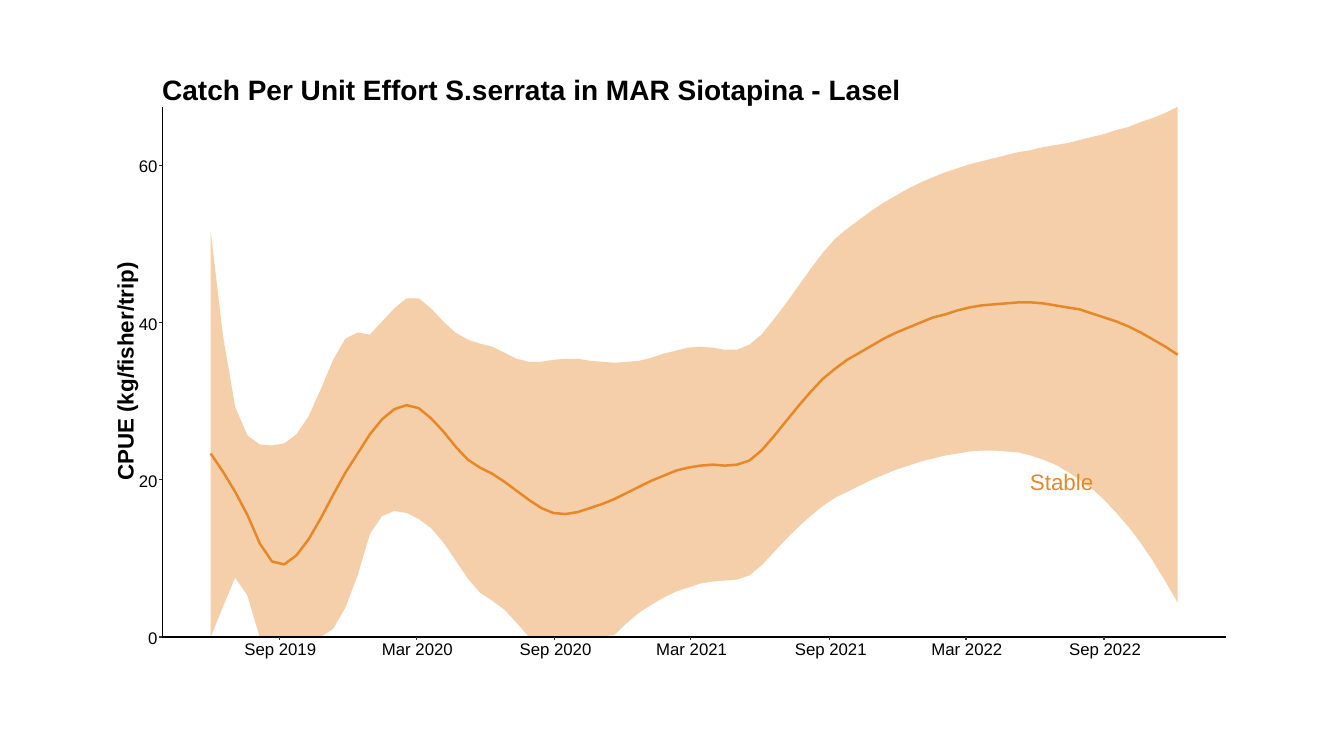
import pptx
import pptx.util
import pptx.dml.color
import pptx.enum.text
import pptx.oxml
import pptx.oxml.ns
from lxml import etree

Inches = pptx.util.Inches
Pt = pptx.util.Pt
RGBColor = pptx.dml.color.RGBColor
ALIGN = pptx.enum.text.PP_ALIGN

ORANGE = RGBColor(0xE7, 0x88, 0x28)
BLACK = RGBColor(0, 0, 0)
TICK_GREY = RGBColor(0x33, 0x33, 0x33)

AXIS_LEFT, AXIS_RIGHT, AXIS_TOP, AXIS_BASE = 1.61, 12.16, 1.06, 6.32
CURVE_LEFT, CURVE_WIDTH = 2.09, 9.59
TICK = 0.03
LABEL_HEIGHT = 0.3
EFFORT_STEP = 1.56

UPPER_BOUND = [
    2.3, 3.33, 4.04, 4.32, 4.41, 4.42, 4.4, 4.31, 4.13, 3.86,
    3.57, 3.36, 3.3, 3.32, 3.19, 3.06, 2.96, 2.96, 3.06, 3.19,
    3.3, 3.37, 3.41, 3.44, 3.5, 3.56, 3.59, 3.59, 3.57, 3.56,
    3.56, 3.58, 3.59, 3.6, 3.59, 3.58, 3.55, 3.51, 3.48, 3.45,
    3.44, 3.45, 3.47, 3.47, 3.42, 3.32, 3.17, 3.01, 2.84, 2.67,
    2.51, 2.37, 2.27, 2.18, 2.09, 2.01, 1.94, 1.87, 1.81, 1.76,
    1.71, 1.67, 1.63, 1.6, 1.57, 1.54, 1.51, 1.49, 1.46, 1.44,
    1.42, 1.39, 1.36, 1.33, 1.29, 1.26, 1.21, 1.17, 1.12, 1.06,
]
LOWER_BOUND = [
    6.32, 6.02, 5.73, 5.91, 6.32, 6.32, 6.32, 6.32, 6.32, 6.32,
    6.24, 6.03, 5.71, 5.3, 5.12, 5.07, 5.09, 5.15, 5.24, 5.38,
    5.56, 5.74, 5.88, 5.96, 6.05, 6.18, 6.32, 6.32, 6.32, 6.32,
    6.32, 6.32, 6.32, 6.3, 6.18, 6.08, 6, 5.93, 5.87, 5.83,
    5.79, 5.77, 5.76, 5.75, 5.71, 5.61, 5.48, 5.35, 5.23, 5.12,
    5.02, 4.94, 4.88, 4.82, 4.76, 4.71, 4.66, 4.62, 4.58, 4.55,
    4.52, 4.5, 4.48, 4.47, 4.47, 4.48, 4.49, 4.52, 4.56, 4.61,
    4.68, 4.76, 4.85, 4.96, 5.09, 5.23, 5.39, 5.57, 5.77, 5.98,
]
TREND = [
    4.5, 4.68, 4.88, 5.11, 5.39, 5.57, 5.6, 5.51, 5.35, 5.14,
    4.91, 4.69, 4.5, 4.31, 4.16, 4.06, 4.02, 4.05, 4.15, 4.28,
    4.43, 4.56, 4.64, 4.7, 4.78, 4.87, 4.96, 5.04, 5.09, 5.1,
    5.08, 5.04, 5, 4.95, 4.89, 4.83, 4.77, 4.72, 4.67, 4.64,
    4.62, 4.61, 4.62, 4.61, 4.57, 4.47, 4.33, 4.18, 4.03, 3.89,
    3.76, 3.66, 3.57, 3.5, 3.43, 3.36, 3.3, 3.25, 3.2, 3.15,
    3.12, 3.08, 3.05, 3.03, 3.02, 3.01, 3, 3, 3.01, 3.03,
    3.05, 3.07, 3.11, 3.15, 3.19, 3.24, 3.3, 3.37, 3.44, 3.52,
]
MONTHS = [
    ("Sep 2019", 2.77), ("Mar 2020", 4.13), ("Sep 2020", 5.5), ("Mar 2021", 6.85),
    ("Sep 2021", 8.23), ("Mar 2022", 9.58), ("Sep 2022", 10.95),
]


def curve_points(heights):
    step = CURVE_WIDTH / (len(heights) - 1)
    return [(Inches(CURVE_LEFT + i * step), Inches(y)) for i, y in enumerate(heights)]


def add_outline(slide, points, close):
    builder = slide.shapes.build_freeform(*points[0])
    builder.add_line_segments(points[1:], close=close)
    outline = builder.convert_to_shape()
    outline.shadow.inherit = False
    return outline


def add_band(slide, upper, lower):
    band = add_outline(slide, curve_points(upper) + curve_points(lower)[::-1], True)
    band.fill.solid()
    band.fill.fore_color.rgb = ORANGE
    band.line.fill.background()
    colour = band.fill._xPr.find(".//" + pptx.oxml.ns.qn("a:srgbClr"))
    etree.SubElement(colour, pptx.oxml.ns.qn("a:alpha"), val="40000")


def add_trend(slide, heights):
    trend = add_outline(slide, curve_points(heights), False)
    trend.fill.background()
    trend.line.color.rgb = ORANGE
    trend.line.width = Pt(1.78)


def add_rule(slide, x1, y1, x2, y2, colour):
    rule = slide.shapes.add_connector(
        1, Inches(x1), Inches(y1), Inches(x2), Inches(y2))
    rule.line.color.rgb = colour
    rule.line.width = Pt(0.89)
    etree.SubElement(rule._element.spPr, pptx.oxml.ns.qn("a:effectLst"))


def add_label(slide, text, left, top, width, height, size=12, colour=BLACK,
              bold=False, align=ALIGN.CENTER, rotation=0):
    label = slide.shapes.add_textbox(
        Inches(left), Inches(top), Inches(width), Inches(height))
    label.rotation = rotation
    label.text_frame.word_wrap = False
    paragraph = label.text_frame.paragraphs[0]
    paragraph.text = text
    paragraph.alignment = align
    paragraph.font.name = "Arial"
    paragraph.font.size = Pt(size)
    paragraph.font.bold = bold
    paragraph.font.color.rgb = colour


def add_effort_axis(slide):
    add_rule(slide, AXIS_LEFT, AXIS_BASE, AXIS_LEFT, AXIS_TOP, BLACK)
    for i in range(4):
        y = AXIS_BASE - i * EFFORT_STEP
        add_rule(slide, AXIS_LEFT - TICK, y, AXIS_LEFT, y, TICK_GREY)
        add_label(slide, str(20 * i), 1.27, y - 0.14, 0.39, LABEL_HEIGHT,
                  align=ALIGN.RIGHT)


def add_month_axis(slide):
    add_rule(slide, AXIS_LEFT, AXIS_BASE, AXIS_RIGHT, AXIS_BASE, BLACK)
    for month, x in MONTHS:
        add_rule(slide, x, AXIS_BASE + TICK, x, AXIS_BASE, TICK_GREY)
        add_label(slide, month, x - 0.45, 6.29, 0.92, LABEL_HEIGHT)


def main():
    deck = pptx.Presentation()
    deck.slide_width = Inches(13.33)
    deck.slide_height = Inches(7.5)
    slide = deck.slides.add_slide(deck.slide_layouts[6])
    add_band(slide, UPPER_BOUND, LOWER_BOUND)
    add_trend(slide, TREND)
    add_label(slide, "Stable", 10.11, 4.6, 0.84, 0.37, size=16, colour=ORANGE)
    add_effort_axis(slide)
    add_month_axis(slide)
    add_label(slide, "CPUE (kg/fisher/trip)", 0.04, 3.5, 2.4, 0.37, size=16,
              bold=True, rotation=270)
    add_label(slide, "Catch Per Unit Effort S.serrata in MAR Siotapina - Lasel",
              1.51, 0.67, 7.58, 0.44, size=20, bold=True, align=ALIGN.LEFT)
    deck.save("out.pptx")


if __name__ == "__main__":
    main()
